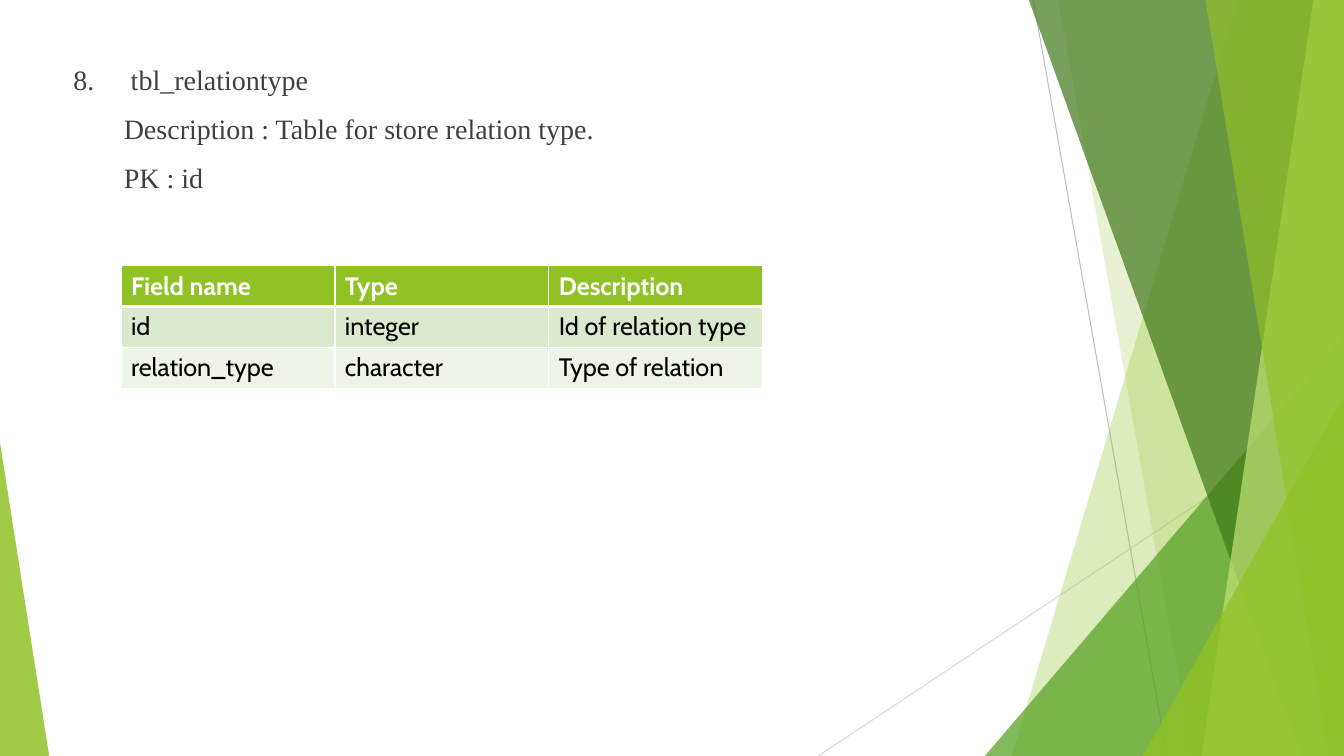
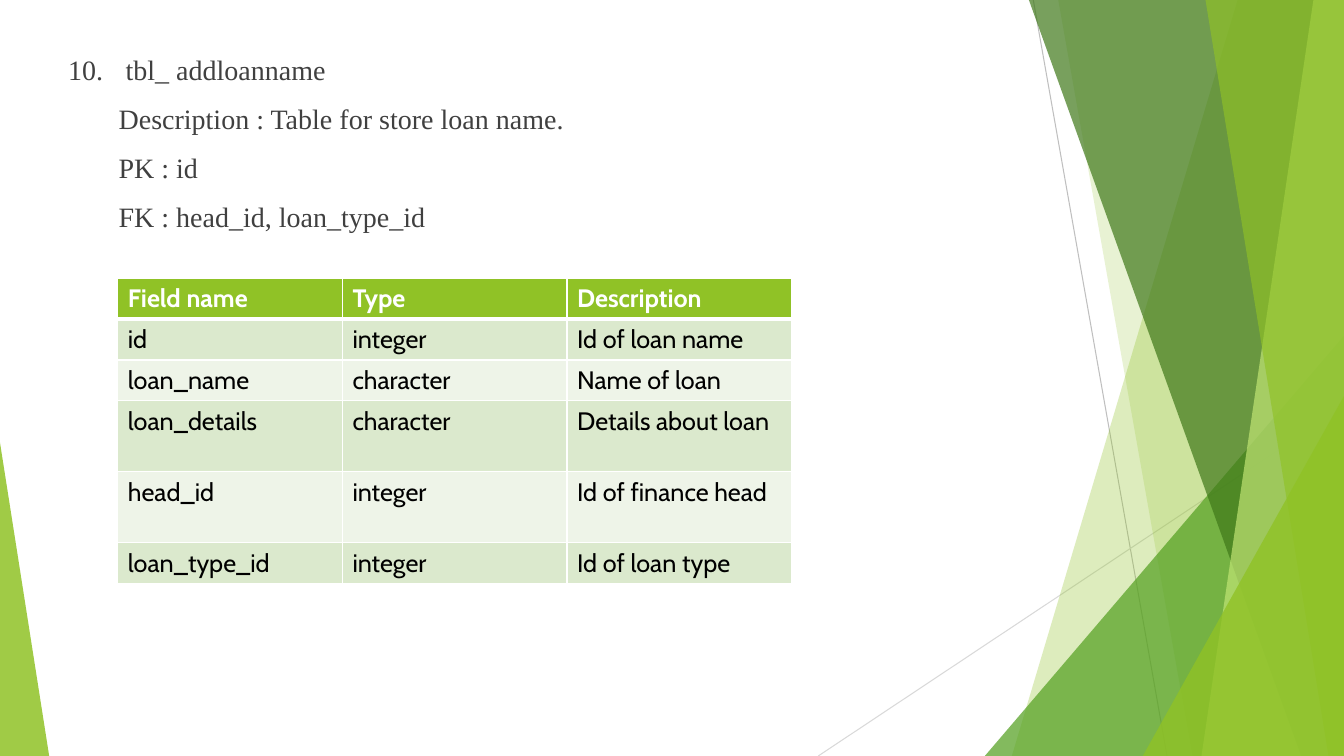
from lxml.etree import SubElement
from pptx import Presentation
from pptx.dml.color import RGBColor
from pptx.enum.shapes import MSO_CONNECTOR, MSO_SHAPE
from pptx.oxml import parse_xml
from pptx.oxml.ns import nsdecls, qn
from pptx.util import Cm, Pt

COLORS = {
    "lime": "90C226", "green": "54A021", "forest": "3F7819", "pale": "C0E474",
    "line_dark": "BFBFBF", "line_light": "D9D9D9", "text": "404040",
    "white": "FFFFFF", "black": "000000", "band_dark": "DBE9CD", "band_light": "EEF4E8",
}
BODY_FONT, TABLE_FONT = "Times New Roman", "Cabin"
WIDTH, HEIGHT = 33.87, 19.05
INDENT = Cm(1.27)
HEADER = ("Field name", "Type", "Description")

# Back to front. Wedge: top x, bottom x; triangle: left, top, width, apex.
FACETS = [
    ("wedge", (31.19, 25.5), "lime", 30),
    ("wedge", (26.67, 30.05), "lime", 20),
    ("triangle", (24.82, 8.46, 9.05, 1), "green", 72),
    ("wedge", (25.93, 32.79), "forest", 70),
    ("wedge", (33.1, 30.28), "pale", 70),
    ("wedge", (30.38, 33.48), "lime", 65),
    ("triangle", (28.8, 9.98, 5.07, 1), "lime", 80),
    ("triangle", (0, 11.15, 1.24, 0), "lime", 85),
]
LINES = [((26.04, 0), (29.41, HEIGHT), "line_dark"),
         ((WIDTH, 10.24), (20.62, HEIGHT), "line_light")]

TABLES = [
    {
        "text": ["8.\t tbl_relationtype",
                 "\tDescription : Table for store relation type.",
                 "\tPK : id"],
        "text_at": (1.6, 1.45),
        "table_at": (3.05, 6.7), "col_width": 5.39,
        "row_heights": (1.02, 1.03, 1.03),
        "rows": [("id", "integer", "Id of relation type"),
                 ("relation_type", "character", "Type of relation")],
    },
    {
        "text": ["10.\t tbl_ addloanname",
                 "\tDescription : Table for store loan name.",
                 "\tPK : id",
                 "\tFK : head_id, loan_type_id"],
        "text_at": (1.47, 1.2),
        "table_at": (2.97, 7.02), "col_width": 5.66,
        "row_heights": (1.02, 1.03, 1.03, 1.79, 1.79, 1.03),
        "rows": [("id", "integer", "Id of loan name"),
                 ("loan_name", "character", "Name of loan"),
                 ("loan_details", "character", "Details about loan"),
                 ("head_id", "integer", "Id of finance head"),
                 ("loan_type_id", "integer", "Id of loan type")],
    },
]


def rgb(name):
    return RGBColor.from_string(COLORS[name])


def style_text(p, font, size, color, bold=False):
    for r in p.runs:
        r.font.name, r.font.size, r.font.bold = font, Pt(size), bold
        r.font.color.rgb = rgb(color)


def add_line(slide, start, end, color):
    line = slide.shapes.add_connector(MSO_CONNECTOR.STRAIGHT,
                                      *[Cm(v) for v in (*start, *end)])
    line.line.color.rgb = rgb(color)
    line.line.width = Pt(0.75)
    SubElement(line._element.spPr, qn("a:effectLst"))


def add_wedge(slide, top_x, bottom_x):
    """Fill from a slanted left edge to the right side of the slide."""
    builder = slide.shapes.build_freeform(Cm(top_x), 0)
    builder.add_line_segments([(Cm(WIDTH), 0), (Cm(WIDTH), Cm(HEIGHT)),
                               (Cm(bottom_x), Cm(HEIGHT))])
    return builder.convert_to_shape()


def add_triangle(slide, left, top, width, apex):
    """Stand a right triangle on the bottom edge of the slide."""
    sp = slide.shapes.add_shape(MSO_SHAPE.ISOSCELES_TRIANGLE, Cm(left), Cm(top),
                                Cm(width), Cm(HEIGHT - top))
    sp.adjustments[0] = apex
    return sp


def add_backdrop(slide):
    for start, end, color in LINES:
        add_line(slide, start, end, color)
    for kind, geometry, color, opacity in FACETS:
        add = add_wedge if kind == "wedge" else add_triangle
        sp = add(slide, *geometry)
        sp.shadow.inherit = False
        sp.line.fill.background()
        sp.fill.solid()
        sp.fill.fore_color.rgb = rgb(color)
        fill = sp._element.spPr.find(qn("a:solidFill"))
        SubElement(fill[0], qn("a:alpha"), val=str(opacity * 1000))


def add_summary(slide, left, top, lines):
    """Write the numbered table name and its details with a hanging indent."""
    box = slide.shapes.add_textbox(Cm(left), Cm(top), Cm(24.2), Cm(15.6))
    tf = box.text_frame
    tf.word_wrap = True
    for i, line in enumerate(lines):
        p = tf.add_paragraph() if i else tf.paragraphs[0]
        p.text = line
        pPr = p._p.get_or_add_pPr()
        pPr.set("marL", str(INDENT))
        pPr.set("indent", str(-INDENT))
        if i:
            p.space_before = Pt(11)
        style_text(p, BODY_FONT, 20, "text")


def set_borders(cell, top, bottom):
    tcPr = cell._tc.get_or_add_tcPr()
    widths = {"lnL": 1, "lnR": 1, "lnT": top, "lnB": bottom}
    for i, (tag, width) in enumerate(widths.items()):
        tcPr.insert(i, parse_xml(
            f'<a:{tag} {nsdecls("a")} w="{Pt(width)}"><a:solidFill>'
            f'<a:srgbClr val="{COLORS["white"]}"/></a:solidFill></a:{tag}>'))


def add_field_table(slide, left, top, col_width, row_heights, rows):
    rows = [HEADER, *rows]
    frame = slide.shapes.add_table(len(rows), len(HEADER), Cm(left), Cm(top),
                                   Cm(col_width * len(HEADER)), Cm(sum(row_heights)))
    table = frame.table
    table.first_row = table.horz_banding = False
    for col in table.columns:
        col.width = Cm(col_width)
    for i, (values, height) in enumerate(zip(rows, row_heights)):
        table.rows[i].height = Cm(height)
        is_header = i == 0
        fill = "lime" if is_header else "band_dark" if i % 2 else "band_light"
        for j, value in enumerate(values):
            cell = table.cell(i, j)
            cell.text_frame.text = value
            style_text(cell.text_frame.paragraphs[0], TABLE_FONT, 18,
                       "white" if is_header else "black", is_header)
            cell.fill.solid()
            cell.fill.fore_color.rgb = rgb(fill)
            set_borders(cell, top=3 if i == 1 else 1, bottom=3 if is_header else 1)


def add_table_slide(prs, content):
    slide = prs.slides.add_slide(prs.slide_layouts[6])
    add_backdrop(slide)
    add_summary(slide, *content["text_at"], content["text"])
    add_field_table(slide, *content["table_at"], content["col_width"],
                    content["row_heights"], content["rows"])


def main():
    prs = Presentation()
    prs.slide_width, prs.slide_height = Cm(WIDTH), Cm(HEIGHT)
    for content in TABLES:
        add_table_slide(prs, content)
    prs.save("out.pptx")


if __name__ == "__main__":
    main()
